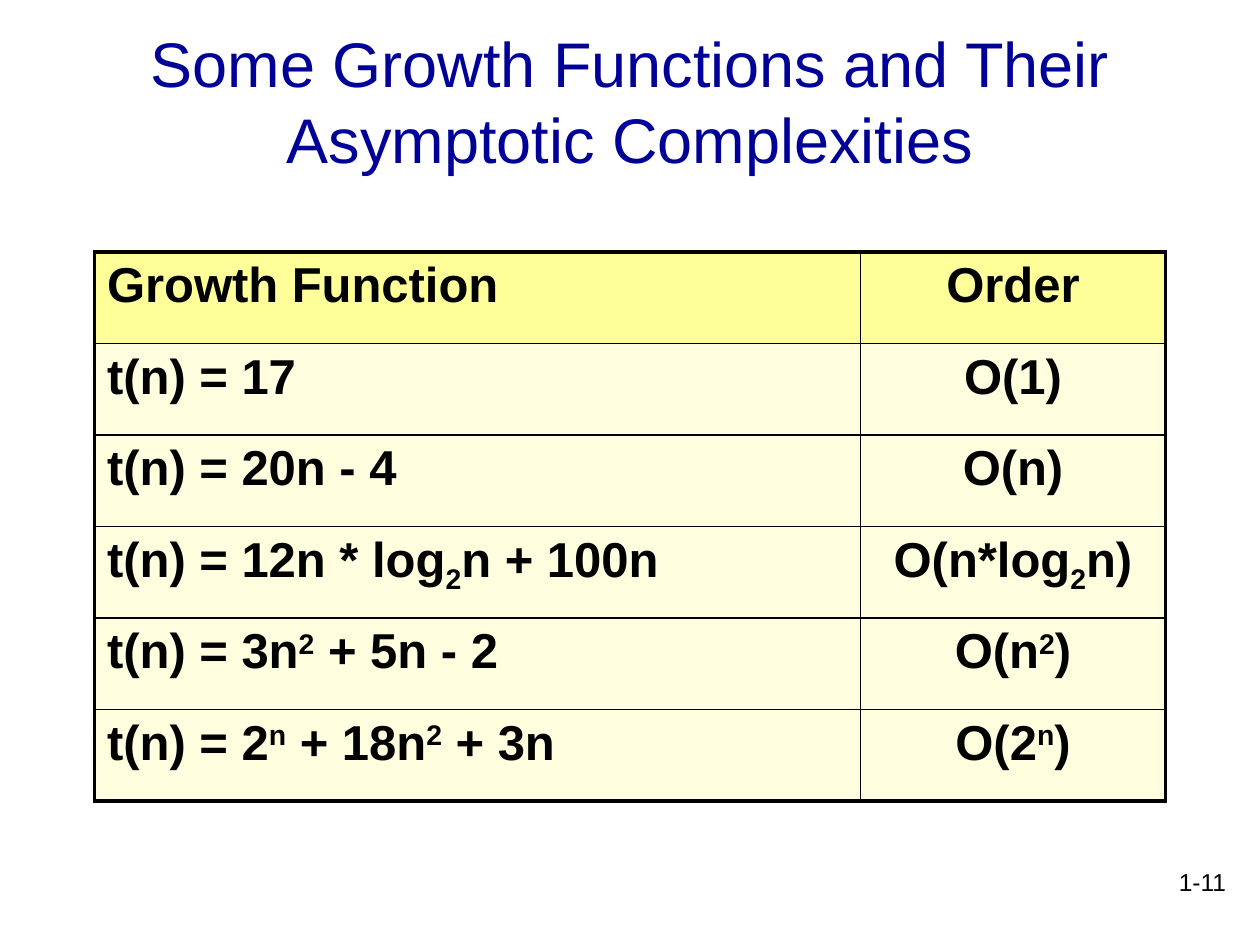
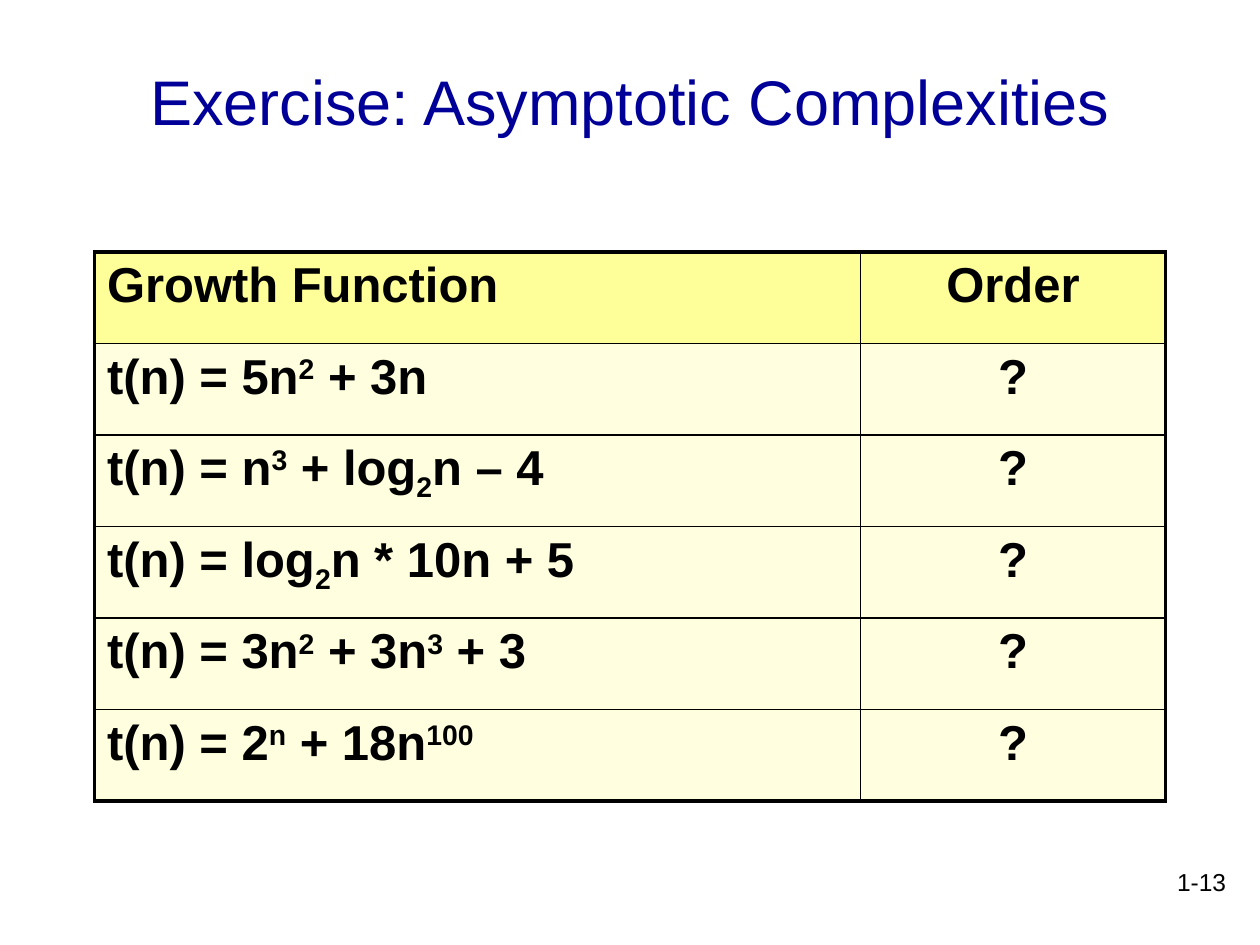
from lxml import etree
from pptx import Presentation, util as u
from pptx.dml.color import RGBColor
from pptx.enum import text
from pptx.oxml.ns import qn

# Content: {^x} is a superscript, {_x} a subscript
HEADER = ("Growth Function", "Order")
SLIDES = [
    {
        "title": "Some Growth Functions and Their Asymptotic Complexities",
        "number": "1-11",
        "rows": [
            ("t(n) = 17", "O(1)"),
            ("t(n) = 20n - 4", "O(n)"),
            ("t(n) = 12n * log{_2}n + 100n", "O(n*log{_2}n)"),
            ("t(n) = 3n{^2} + 5n - 2", "O(n{^2})"),
            ("t(n) = 2{^n} + 18n{^2} + 3n", "O(2{^n})"),
        ],
    },
    {
        "title": "Exercise: Asymptotic Complexities",
        "number": "1-13",
        "rows": [
            ("t(n) = 5n{^2} + 3n", "?"),
            ("t(n) = n{^3} + log{_2}n – 4", "?"),
            ("t(n) = log{_2}n * 10n + 5", "?"),
            ("t(n) = 3n{^2} + 3n{^3} + 3", "?"),
            ("t(n) = 2{^n} + 18n{^100}", "?"),
        ],
    },
]

# Theme and layout
THEME = {
    "title": {"name": "Arial", "size": u.Pt(36), "color": "000099"},
    "cell": {"name": "Arial", "size": u.Pt(28), "color": "000000", "bold": True},
    "number": {"name": "Arial", "size": u.Pt(14), "color": "000000"},
    "header_fill": "FFFF99",
    "body_fill": "FFFFDF",
    "border": "000000",
    "outer_line": 2.25,
    "inner_line": 1,
}
WIDTH, HEIGHT = 10, 7.5
MARGIN = 0.75
CONTENT_WIDTH = WIDTH - 2 * MARGIN
TITLE_AREA = (MARGIN, 0.17, CONTENT_WIDTH, 1.25)
NUMBER_AREA = (7.75, 6.83, 2.08, 0.5)
TABLE_AREA = (MARGIN, 2, CONTENT_WIDTH, 4.36)
ORDER_WIDTH = 2.42
COLUMN_WIDTHS = (CONTENT_WIDTH - ORDER_WIDTH, ORDER_WIDTH)
COLUMN_ALIGN = (text.PP_ALIGN.LEFT, text.PP_ALIGN.CENTER)
SCRIPT_BASELINE = {"^": "30000", "_": "-25000"}


def inches(area):
    return [u.Inches(value) for value in area]


def format_font(font, style):
    for name, value in style.items():
        if name == "color":
            font.color.rgb = RGBColor.from_string(value)
        else:
            setattr(font, name, value)


def write(para, content, style, align):
    """Write a line, raising or lowering its marked scripts."""
    para.alignment = align
    for chunk in content.replace("}", "{").split("{"):
        if not chunk:
            continue
        baseline = SCRIPT_BASELINE.get(chunk[0])
        span = para.add_run()
        span.text = chunk[1:] if baseline else chunk
        format_font(span.font, style)
        if baseline:
            span.font._element.set("baseline", baseline)


def draw_borders(cell, outer_sides):
    props = cell._tc.get_or_add_tcPr()
    for side in "LRTB":
        width = THEME["outer_line" if side in outer_sides else "inner_line"]
        line = etree.SubElement(props, qn(f"a:ln{side}"), w=str(u.Pt(width)))
        fill = etree.SubElement(line, qn("a:solidFill"))
        etree.SubElement(fill, qn("a:srgbClr"), val=THEME["border"])


def add_title(page, content):
    title = page.shapes.title
    title.left, title.top, title.width, title.height = inches(TITLE_AREA)
    frame = title.text_frame
    frame.auto_size = text.MSO_AUTO_SIZE.NONE
    frame.vertical_anchor = text.MSO_ANCHOR.MIDDLE
    write(frame.paragraphs[0], content, THEME["title"], text.PP_ALIGN.CENTER)


def add_number(page, content):
    box = page.shapes.add_textbox(*inches(NUMBER_AREA))
    box.text_frame.word_wrap = True
    write(box.text_frame.paragraphs[0], content, THEME["number"], text.PP_ALIGN.RIGHT)


def add_growth_table(page, rows):
    last_row, last_column = len(rows) - 1, len(HEADER) - 1
    table = page.shapes.add_table(len(rows), len(HEADER), *inches(TABLE_AREA)).table
    table.horz_banding = False
    for column, width in zip(table.columns, COLUMN_WIDTHS):
        column.width = u.Inches(width)
    for r, row in enumerate(rows):
        for c, content in enumerate(row):
            cell = table.cell(r, c)
            edges = {"L": c == 0, "R": c == last_column, "T": r == 0, "B": r == last_row}
            draw_borders(cell, [side for side, outer in edges.items() if outer])
            cell.fill.solid()
            shade = THEME["body_fill" if r else "header_fill"]
            cell.fill.fore_color.rgb = RGBColor.from_string(shade)
            write(cell.text_frame.paragraphs[0], content, THEME["cell"], COLUMN_ALIGN[c])


def main():
    deck = Presentation()
    deck.slide_width, deck.slide_height = inches((WIDTH, HEIGHT))
    title_only = deck.slide_layouts.get_by_name("Title Only")
    for item in SLIDES:
        page = deck.slides.add_slide(title_only)
        add_number(page, item["number"])
        add_title(page, item["title"])
        add_growth_table(page, [HEADER] + item["rows"])
    deck.save("out.pptx")


if __name__ == "__main__":
    main()
